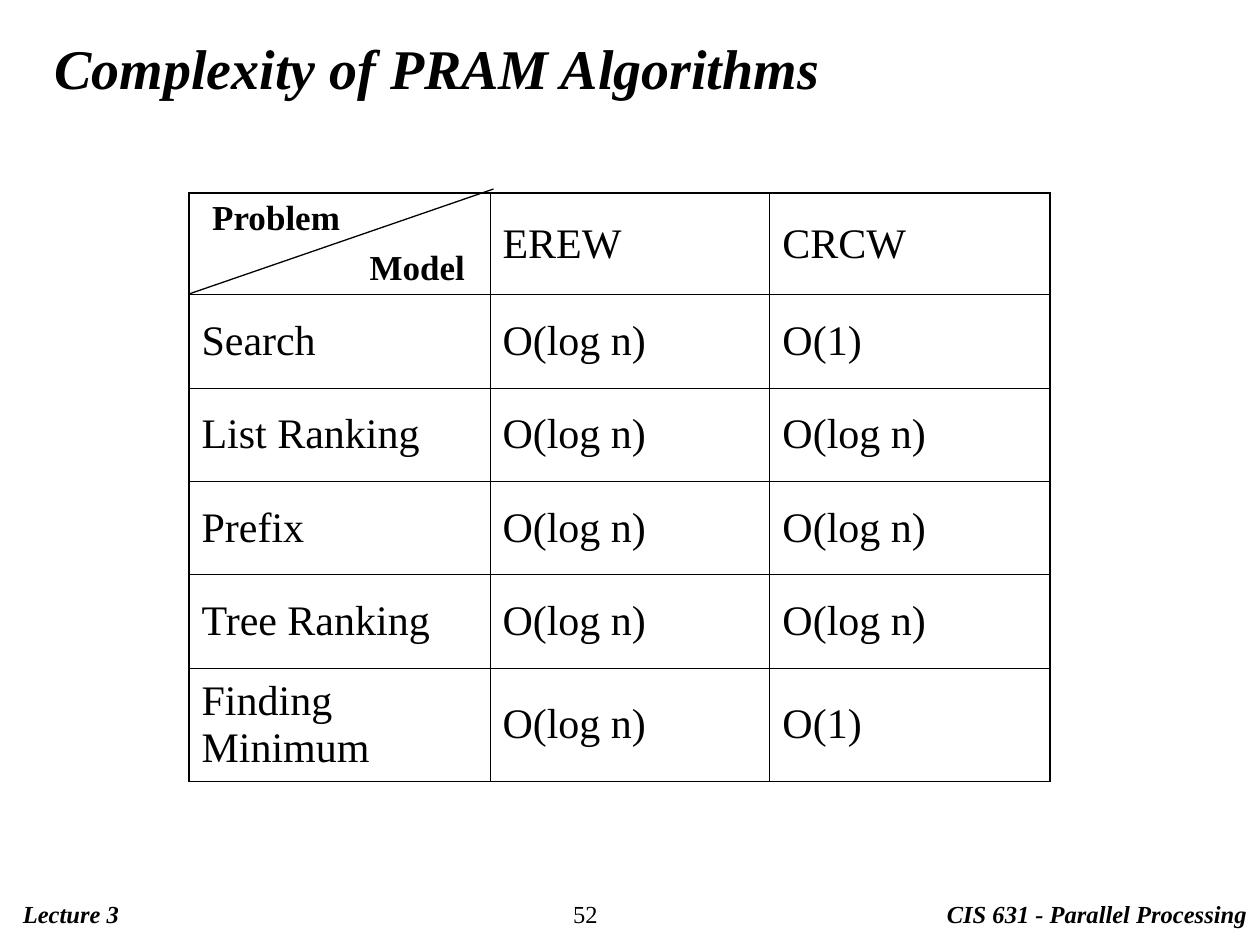
from lxml import etree
from pptx import Presentation
from pptx.dml.color import RGBColor
from pptx.enum.shapes import MSO_CONNECTOR
from pptx.enum.text import MSO_ANCHOR, PP_ALIGN
from pptx.oxml.ns import qn
from pptx.util import Inches, Pt

STRAIGHT = MSO_CONNECTOR.STRAIGHT
MIDDLE, TOP = MSO_ANCHOR.MIDDLE, MSO_ANCHOR.TOP
LEFT, CENTER = PP_ALIGN.LEFT, PP_ALIGN.CENTER

BLACK = RGBColor(0, 0, 0)
FONT = "Times New Roman"
GRID_UNITS_PER_INCH = 12
OUTER_BORDER, INNER_BORDER = 1.08, 0.45

COMPLEXITIES = [
    ["", "EREW", "CRCW"],
    ["Search", "O(log n)", "O(1)"],
    ["List Ranking", "O(log n)", "O(log n)"],
    ["Prefix", "O(log n)", "O(log n)"],
    ["Tree Ranking", "O(log n)", "O(log n)"],
    ["Finding Minimum", "O(log n)", "O(1)"],
]
COLUMN_WIDTHS = [28.66, 26.66, 26.66]
ROW_HEIGHTS = [9.72] + [8.89] * 4 + [9.6]


def grid(units):
    return Inches(units / GRID_UNITS_PER_INCH)


def format_paragraph(paragraph, size, bold=False, italic=False):
    for run in paragraph.runs:
        font = run.font
        font.name, font.size = FONT, Pt(size)
        font.bold, font.italic = bold, italic
        font.color.rgb = BLACK


def add_text(slide, text, box, size, bold=True, italic=False,
             align=LEFT, anchor=TOP, wrap=True):
    shape = slide.shapes.add_textbox(*[grid(units) for units in box])
    frame = shape.text_frame
    frame.text = text
    frame.word_wrap = wrap
    frame.vertical_anchor = anchor
    paragraph = frame.paragraphs[0]
    paragraph.alignment = align
    format_paragraph(paragraph, size, bold, italic)


def set_border(cell, side, width):
    properties = cell._tc.get_or_add_tcPr()
    line = etree.SubElement(properties, qn(f"a:ln{side}"), w=str(Pt(width)))
    fill = etree.SubElement(line, qn("a:solidFill"))
    etree.SubElement(fill, qn("a:srgbClr"), val=str(BLACK))


def format_cell(cell, text, outer_sides):
    cell.text_frame.text = text
    cell.vertical_anchor = MIDDLE
    paragraph = cell.text_frame.paragraphs[0]
    paragraph.space_before = Pt(6)
    format_paragraph(paragraph, 24)
    for side, is_outer in outer_sides.items():
        set_border(cell, side, OUTER_BORDER if is_outer else INNER_BORDER)
    cell.fill.background()


def add_complexity_table(slide, left, top):
    row_count, column_count = len(ROW_HEIGHTS), len(COLUMN_WIDTHS)
    table = slide.shapes.add_table(
        row_count, column_count, grid(left), grid(top),
        grid(sum(COLUMN_WIDTHS)), grid(sum(ROW_HEIGHTS))).table
    table.first_row = table.horz_banding = False
    for column, width in zip(table.columns, COLUMN_WIDTHS):
        column.width = grid(width)
    for row, height in zip(table.rows, ROW_HEIGHTS):
        row.height = grid(height)
    for row_index, texts in enumerate(COMPLEXITIES):
        for column_index, text in enumerate(texts):
            outer_sides = {
                "L": column_index == 0,
                "R": column_index == column_count - 1,
                "T": row_index == 0,
                "B": row_index == row_count - 1,
            }
            format_cell(table.cell(row_index, column_index), text, outer_sides)


def add_line(slide, *ends):
    line = slide.shapes.add_connector(STRAIGHT, *[grid(units) for units in ends])
    line.line.color.rgb = BLACK
    line.line.width = Pt(0.75)
    etree.SubElement(line._element.spPr, qn("a:effectLst"))


def main():
    presentation = Presentation()
    presentation.slide_width = grid(120)
    presentation.slide_height = grid(90)
    slide = presentation.slides.add_slide(presentation.slide_layouts[6])

    add_text(slide, "CIS 631 - Parallel Processing", (89, 85, 31, 4), 14, italic=True)
    add_text(slide, "Lecture 3", (1, 85, 89, 4), 14, italic=True)
    add_text(slide, "52", (53.4, 85, 12, 4), 14, bold=False)
    add_text(slide, "Complexity of PRAM Algorithms", (4, 3.4, 113, 6), 32,
             italic=True, anchor=MIDDLE)

    add_complexity_table(slide, 18, 18.36)
    add_line(slide, 47, 18, 18, 28)
    add_text(slide, "Problem", (19, 18, 14.6, 5.3), 20, align=CENTER, wrap=False)
    add_text(slide, "Model", (34, 22.8, 11.5, 5.3), 20, align=CENTER, wrap=False)

    presentation.save("out.pptx")


if __name__ == "__main__":
    main()
